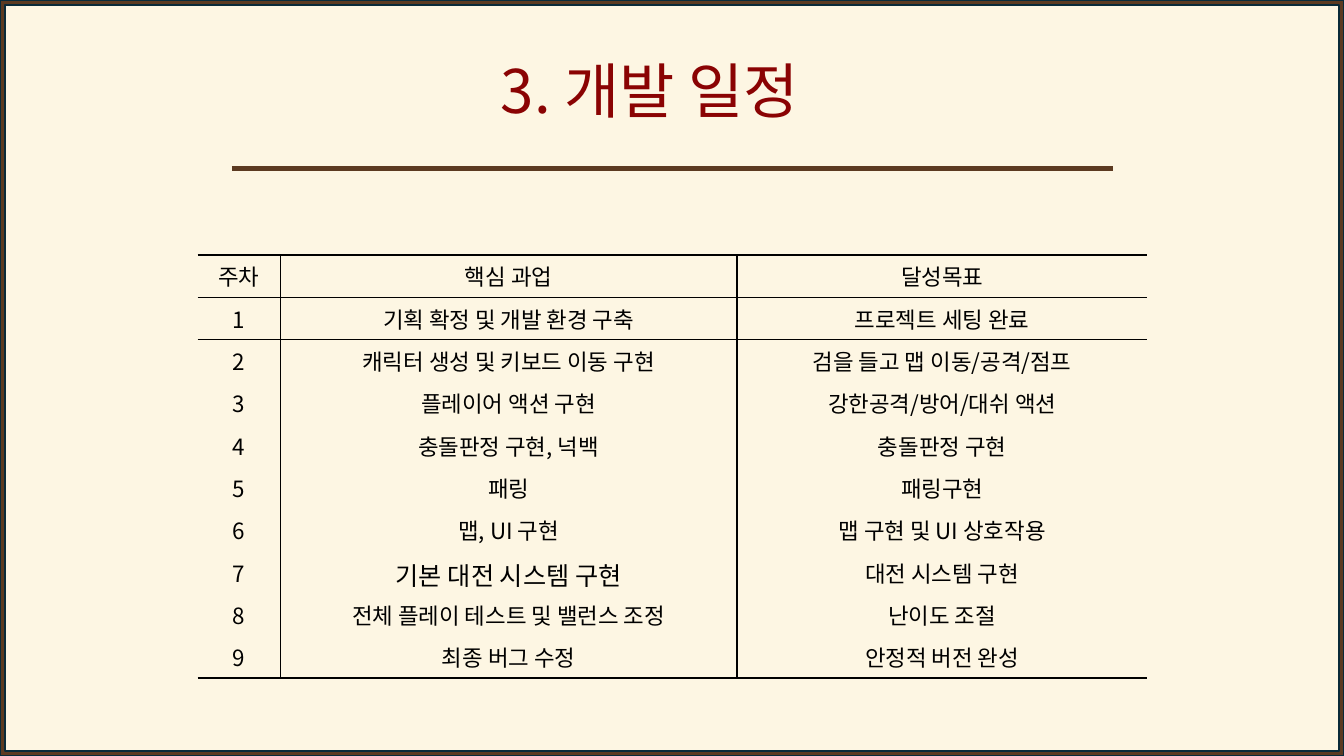
from lxml import etree
from pptx import Presentation
from pptx.dml.color import RGBColor
from pptx.enum.shapes import MSO_CONNECTOR, MSO_SHAPE
from pptx.enum.text import MSO_ANCHOR, PP_ALIGN
from pptx.oxml.ns import qn
from pptx.util import Inches, Pt

FRAME = MSO_SHAPE.FRAME
STRAIGHT = MSO_CONNECTOR.STRAIGHT
BOTTOM, MIDDLE = MSO_ANCHOR.BOTTOM, MSO_ANCHOR.MIDDLE
CENTER = PP_ALIGN.CENTER
FONT = "Noto Sans CJK KR"
COLORS = {
    "paper": "FDF6E3",
    "wood": "5C3A21",
    "edge": "092A39",
    "title": "8A0303",
    "ink": "000000",
}
COLUMN_WIDTHS = (0.82, 4.53, 4.07)
ROW_HEIGHT = 0.42
BODY_SIZE = 16
ENLARGED_SIZES = {(7, 1): 18}
RULED_EDGES = (0, 1, 2)
SCHEDULE = (
    ("주차", "핵심 과업", "달성목표"),
    ("1", "기획 확정 및 개발 환경 구축", "프로젝트 세팅 완료"),
    ("2", "캐릭터 생성 및 키보드 이동 구현", "검을 들고 맵 이동/공격/점프"),
    ("3", "플레이어 액션 구현", "강한공격/방어/대쉬 액션"),
    ("4", "충돌판정 구현, 넉백", "충돌판정 구현"),
    ("5", "패링", "패링구현"),
    ("6", "맵, UI 구현", "맵 구현 및 UI 상호작용"),
    ("7", "기본 대전 시스템 구현", "대전 시스템 구현"),
    ("8", "전체 플레이 테스트 및 밸런스 조정", "난이도 조절"),
    ("9", "최종 버그 수정", "안정적 버전 완성"),
)


def color(name):
    """Return the named colour."""
    return RGBColor.from_string(COLORS[name])


def format_text(paragraph, size, color_name):
    """Give every run of a paragraph the slide font, a size and a colour."""
    for run in paragraph.runs:
        run.font.name = FONT
        run.font.size = Pt(size)
        run.font.color.rgb = color(color_name)
        east_asian = etree.SubElement(run.font._element, qn("a:ea"))
        east_asian.set("typeface", FONT)


def add_border(slide, width, height):
    """Draw the thin wooden frame around the slide."""
    border = slide.shapes.add_shape(FRAME, 0, 0, width, height)
    border.adjustments[0] = 0.007
    border.shadow.inherit = False
    border.fill.solid()
    border.fill.fore_color.rgb = color("wood")
    border.line.color.rgb = color("edge")
    border.line.width = Pt(1.5)


def add_divider(slide, left, right, top):
    """Draw the horizontal rule below the title."""
    divider = slide.shapes.add_connector(
        STRAIGHT, Inches(left), Inches(top), Inches(right), Inches(top)
    )
    divider.line.color.rgb = color("wood")
    divider.line.width = Pt(3.5)
    etree.SubElement(divider._element.spPr, qn("a:effectLst"))


def add_title(slide, text, left, top, width, height):
    """Add the slide title."""
    title = slide.shapes.add_textbox(
        Inches(left), Inches(top), Inches(width), Inches(height)
    ).text_frame
    title.word_wrap = True
    title.vertical_anchor = BOTTOM
    title.text = text
    title.paragraphs[0].line_spacing = 0.9
    format_text(title.paragraphs[0], 42.9, "title")


def set_cell_borders(cell, ruled_sides):
    """Rule the given sides of a cell and clear the others."""
    properties = cell._tc.get_or_add_tcPr()
    for position, side in enumerate("LRTB"):
        edge = etree.Element(qn(f"a:ln{side}"), w=str(Pt(1)))
        if side in ruled_sides:
            ink = etree.SubElement(edge, qn("a:solidFill"))
            etree.SubElement(ink, qn("a:srgbClr"), val=COLORS["ink"])
        else:
            etree.SubElement(edge, qn("a:noFill"))
        properties.insert(position, edge)


def ruled_sides(row, column):
    """Return the sides of a schedule cell that carry a line."""
    edges = (*RULED_EDGES, len(SCHEDULE))
    rules = {
        "L": column > 0,
        "R": column < len(COLUMN_WIDTHS) - 1,
        "T": row in edges,
        "B": row + 1 in edges,
    }
    return [side for side, ruled in rules.items() if ruled]


def add_schedule(slide, left, top):
    """Add the weekly schedule table."""
    schedule = slide.shapes.add_table(
        len(SCHEDULE), len(COLUMN_WIDTHS), Inches(left), Inches(top),
        Inches(sum(COLUMN_WIDTHS)), Inches(ROW_HEIGHT * len(SCHEDULE)),
    ).table
    schedule.first_row = False
    schedule.horz_banding = False
    for column, width in enumerate(COLUMN_WIDTHS):
        schedule.columns[column].width = Inches(width)
    for row, entries in enumerate(SCHEDULE):
        schedule.rows[row].height = Inches(ROW_HEIGHT)
        for column, entry in enumerate(entries):
            cell = schedule.cell(row, column)
            cell.fill.background()
            cell.vertical_anchor = MIDDLE
            cell.text_frame.text = entry
            paragraph = cell.text_frame.paragraphs[0]
            paragraph.alignment = CENTER
            size = ENLARGED_SIZES.get((row, column), BODY_SIZE)
            format_text(paragraph, size, "ink")
            set_cell_borders(cell, ruled_sides(row, column))


def main():
    """Build the development schedule slide."""
    deck = Presentation()
    deck.slide_width = Inches(13.33)
    deck.slide_height = Inches(7.5)
    slide = deck.slides.add_slide(deck.slide_layouts[6])
    slide.background.fill.solid()
    slide.background.fill.fore_color.rgb = color("paper")
    add_border(slide, deck.slide_width, deck.slide_height)
    add_divider(slide, 2.3, 11.04, 1.67)
    add_title(slide, "3. 개발 일정", 4.87, 0.48, 3.6, 0.82)
    add_schedule(slide, 1.96, 2.53)
    deck.save("out.pptx")


if __name__ == "__main__":
    main()
